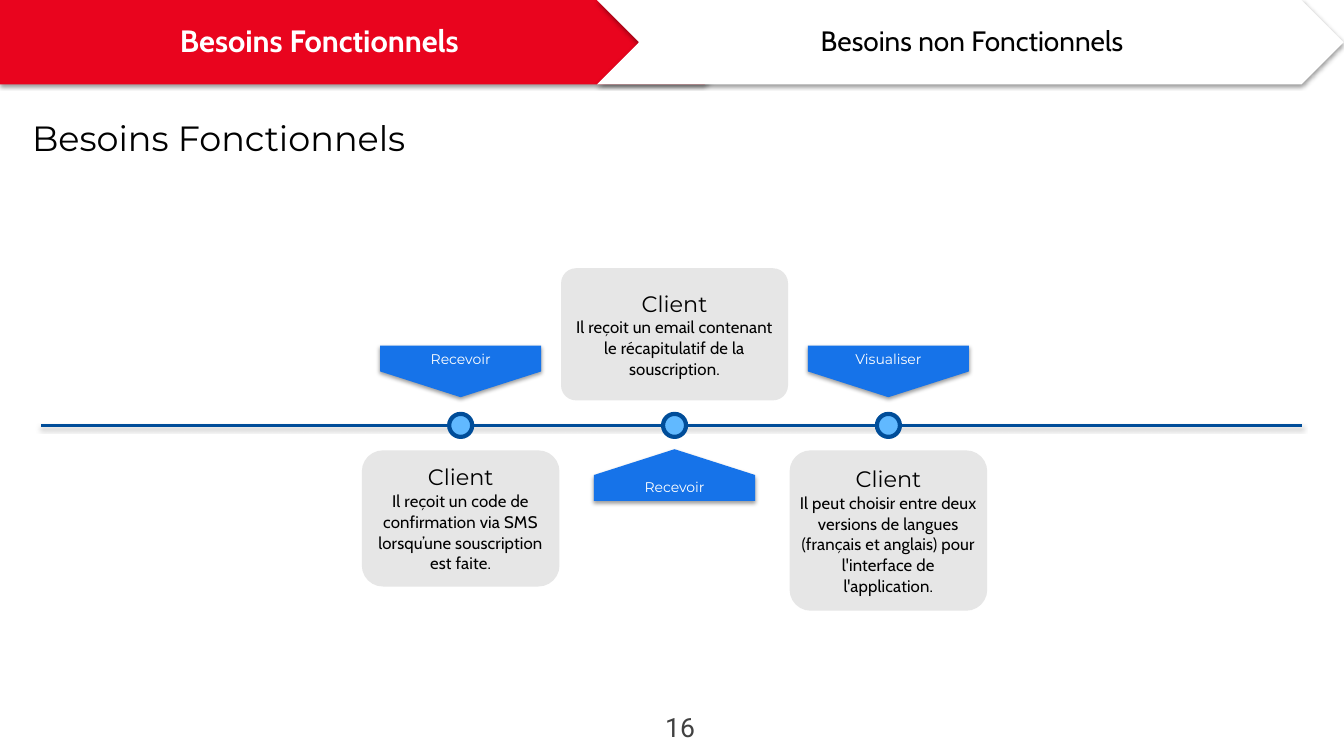
from lxml import etree
from pptx import Presentation
from pptx.dml.color import RGBColor
from pptx.enum.shapes import MSO_CONNECTOR, MSO_SHAPE
from pptx.enum.text import MSO_ANCHOR, PP_ALIGN
from pptx.oxml.ns import qn
from pptx.util import Cm, Pt

CHEVRON, HOME_PLATE = MSO_SHAPE.CHEVRON, MSO_SHAPE.PENTAGON
ROUNDED, OVAL = MSO_SHAPE.ROUNDED_RECTANGLE, MSO_SHAPE.OVAL
TOP, MIDDLE, BOTTOM = MSO_ANCHOR.TOP, MSO_ANCHOR.MIDDLE, MSO_ANCHOR.BOTTOM
LEFT, CENTER = PP_ALIGN.LEFT, PP_ALIGN.CENTER

INK = RGBColor(0x01, 0x01, 0x01)
WHITE = RGBColor(0xFF, 0xFF, 0xFF)
BLACK = RGBColor(0x00, 0x00, 0x00)
GREY = RGBColor(0x41, 0x41, 0x41)
RED = RGBColor(0xE9, 0x04, 0x1E)
CARD = RGBColor(0xE6, 0xE6, 0xE6)
FLAG = RGBColor(0x16, 0x73, 0xE9)
DOT = RGBColor(0x61, 0xB9, 0xFF)
NAVY = RGBColor(0x00, 0x4D, 0x99)

AXIS_Y = 10.72
FIRST_X, STEP = 11.61, 5.39
FLAG_W, FLAG_H, FLAG_SIDE = 4.06, 1.3, 0.65


def add_soft_shadow(s):
    """Give a shape or connector a short shadow straight below it."""
    spPr = s._element.spPr
    effects = spPr.find(qn("a:effectLst"))
    if effects is None:
        effects = etree.SubElement(spPr, qn("a:effectLst"))
    shadow = etree.SubElement(effects, qn("a:outerShdw"), blurRad=str(Pt(3)),
                              dist=str(Pt(1.6)), dir="5400000", rotWithShape="0")
    color = etree.SubElement(shadow, qn("a:srgbClr"), val=str(BLACK))
    etree.SubElement(color, qn("a:alpha"), val="38000")


def paint(s, fill):
    s.shadow.inherit = False
    s.fill.solid()
    s.fill.fore_color.rgb = fill
    s.line.fill.background()


def add_shape(slide, kind, x, y, w, h, fill):
    s = slide.shapes.add_shape(kind, Cm(x), Cm(y), Cm(w), Cm(h))
    paint(s, fill)
    return s


def set_frame(tf, anchor, side, vertical):
    tf.word_wrap = True
    tf.vertical_anchor = anchor
    tf.margin_left = tf.margin_right = Cm(side)
    tf.margin_top = tf.margin_bottom = Cm(vertical)


def style(p, text, font, size, color, align=CENTER, bold=False):
    p.text = text
    p.alignment = align
    p.font.name, p.font.size, p.font.bold = font, Pt(size), bold
    p.font.color.rgb = color


def add_text(slide, x, y, w, h, text, font, size, color,
             align=CENTER, anchor=TOP, bold=False):
    tf = slide.shapes.add_textbox(Cm(x), Cm(y), Cm(w), Cm(h)).text_frame
    set_frame(tf, anchor, 0.1, 0.1)
    style(tf.paragraphs[0], text, font, size, color, align, bold)


def add_tab(slide, kind, x, fill, text, size, color, text_x, bold=False):
    s = add_shape(slide, kind, x, 0, 18.82, 2.13, fill)
    s.adjustments[0] = 0.5
    add_soft_shadow(s)
    add_text(slide, text_x, 0.48, 16, 1.05, text, "Cabin", size, color,
             anchor=MIDDLE, bold=bold)


def add_card(slide, cx, y, w, h, radius, side, text):
    s = add_shape(slide, ROUNDED, cx - w / 2, y, w, h, CARD)
    s.adjustments[0] = radius / h
    tf = s.text_frame
    set_frame(tf, MIDDLE, side, 0)
    style(tf.paragraphs[0], "Client", "Montserrat", 16, INK)
    p = tf.add_paragraph()
    style(p, text, "Cabin", 12, INK)
    p.line_spacing = 1.03
    pPr = p._p.get_or_add_pPr()
    for margin in ("marL", "marR"):
        pPr.set(margin, str(Cm(0.08)))
    p.runs[0]._r.get_or_add_rPr().set("spc", "10")


def add_flag(slide, cx, flat_y, direction, text):
    """Draw a pointed label; direction is 1 when it points down, -1 when up."""
    left, right = cx - FLAG_W / 2, cx + FLAG_W / 2
    shoulder, tip = (flat_y + direction * d for d in (FLAG_SIDE, FLAG_H))
    points = [(right, flat_y), (right, shoulder), (cx, tip), (left, shoulder)]
    builder = slide.shapes.build_freeform(Cm(left), Cm(flat_y))
    builder.add_line_segments([(Cm(x), Cm(y)) for x, y in points], close=True)
    s = builder.convert_to_shape()
    paint(s, FLAG)
    add_soft_shadow(s)
    set_frame(s.text_frame, TOP if direction == 1 else BOTTOM, 0.13, 0.13)
    style(s.text_frame.paragraphs[0], text, "Montserrat", 10, WHITE)


def add_axis(slide):
    s = slide.shapes.add_connector(MSO_CONNECTOR.STRAIGHT, Cm(1.04), Cm(AXIS_Y),
                                   Cm(32.82), Cm(AXIS_Y))
    s.line.color.rgb = NAVY
    s.line.width = Pt(2)
    add_soft_shadow(s)


def add_dot(slide, cx, d=0.58):
    s = add_shape(slide, OVAL, cx - d / 2, AXIS_Y - d / 2, d, d, DOT)
    s.line.color.rgb = NAVY
    s.line.width = Pt(3)


def main():
    prs = Presentation()
    prs.slide_width, prs.slide_height = Cm(33.87), Cm(19.05)
    slide = prs.slides.add_slide(prs.slide_layouts[6])

    add_tab(slide, HOME_PLATE, 0, RED, "Besoins Fonctionnels", 22, WHITE, 0.05, True)
    add_tab(slide, CHEVRON, 15.04, WHITE, "Besoins non Fonctionnels", 20, INK, 16.5)
    add_text(slide, 0.71, 2.84, 13.94, 1.27, "Besoins Fonctionnels",
             "Montserrat", 25, INK, LEFT)

    # card top, width, height, corner radius, side margin; flag edge, direction
    steps = [
        ((11.35, 4.98, 3.43, 0.53, 0), (8.71, 1), "Recevoir",
         "Il reçoit un code de confirmation via SMS lorsqu’une souscription est faite."),
        ((6.76, 5.72, 3.33, 0.38, 0.15), (12.62, -1), "Recevoir",
         "Il reçoit un email contenant le récapitulatif de la souscription."),
        ((11.35, 4.98, 4.04, 0.53, 0), (8.71, 1), "Visualiser",
         "Il peut choisir entre deux versions de langues (français et anglais) "
         "pour l'interface de l'application."),
    ]
    add_axis(slide)
    for i, (card, flag, action, text) in enumerate(steps):
        cx = FIRST_X + i * STEP
        add_card(slide, cx, *card, text)
        add_flag(slide, cx, *flag, action)
        add_dot(slide, cx)

    add_text(slide, 16.14, 17.81, 2, 1.07, "16", "Roboto", 19, GREY)
    prs.save("out.pptx")


if __name__ == "__main__":
    main()
